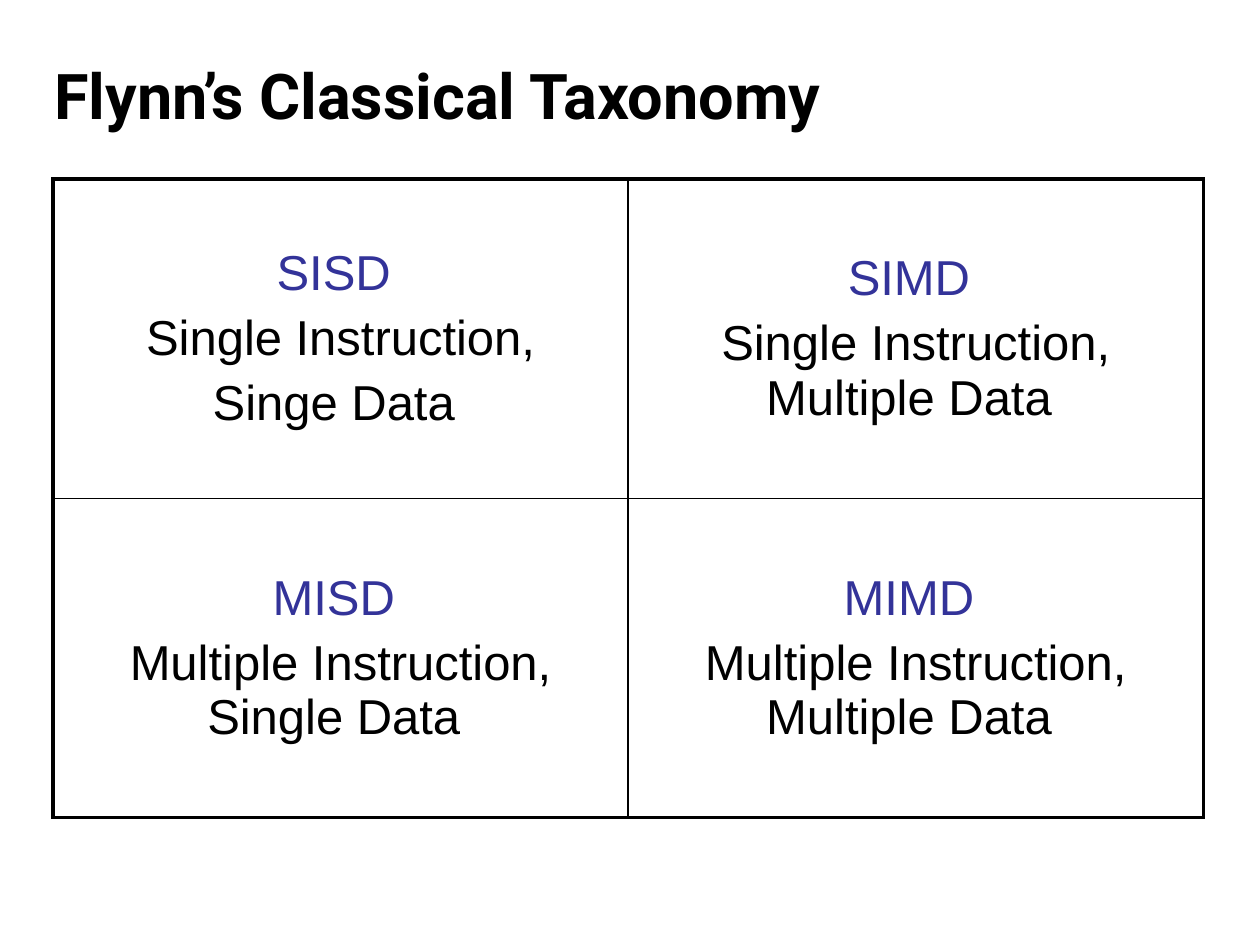
from lxml.etree import SubElement
from pptx import Presentation
from pptx.dml.color import RGBColor
from pptx.enum.text import MSO_ANCHOR as Anchor, PP_ALIGN as Align
from pptx.oxml.ns import qn
from pptx.util import Inches, Pt

BLACK = RGBColor(0x00, 0x00, 0x00)
INDIGO = RGBColor(0x33, 0x33, 0x99)
THICK, THIN = Pt(2.25), Pt(1)

# Rows of cells; each cell holds an acronym and the lines that spell it out
TAXONOMY = [
    [["SISD ", "Single Instruction,", "Singe Data "],
     ["SIMD ", "Single Instruction, Multiple Data "]],
    [["MISD ", "Multiple Instruction, Single Data "],
     ["MIMD ", "Multiple Instruction, Multiple Data "]],
]


def style_font(font, name, size, color, bold=False):
    font.name = name
    font.size = Pt(size)
    font.bold = bold
    font.color.rgb = color


def add_title(page, text, left, top, width, height):
    title = page.shapes.title
    title.left, title.top, title.width, title.height = left, top, width, height
    frame = title.text_frame
    frame.text = text
    frame.vertical_anchor = Anchor.MIDDLE
    para = frame.paragraphs[0]
    para.alignment = Align.LEFT
    style_font(para.font, "Roboto", 36, BLACK, bold=True)


def set_borders(cell, widths):
    properties = cell._tc.get_or_add_tcPr()
    for side, width in widths.items():
        line = SubElement(properties, qn(f"a:ln{side}"), w=str(width))
        fill = SubElement(line, qn("a:solidFill"))
        SubElement(fill, qn("a:srgbClr"), val=str(BLACK))


def fill_cell(cell, lines):
    cell.vertical_anchor = Anchor.MIDDLE
    cell.text = "\n".join(lines)
    for index, para in enumerate(cell.text_frame.paragraphs):
        para.alignment = Align.CENTER
        para.space_before = Pt(6)
        style_font(para.font, "Arial", 28, BLACK if index else INDIGO)


def add_taxonomy(page, left, top, width, height):
    rows, columns = len(TAXONOMY), len(TAXONOMY[0])
    table = page.shapes.add_table(rows, columns, left, top, width, height).table
    table.first_row = table.horz_banding = False
    for r, row in enumerate(TAXONOMY):
        for c, lines in enumerate(row):
            cell = table.cell(r, c)
            fill_cell(cell, lines)
            # Thick outer frame, thin inner rules
            set_borders(cell, {
                "L": THICK if c == 0 else THIN,
                "R": THICK if c == columns - 1 else THIN,
                "T": THICK if r == 0 else THIN,
                "B": THICK if r == rows - 1 else THIN,
            })
            cell.fill.background()


def main():
    deck = Presentation()
    deck.slide_width, deck.slide_height = Inches(10), Inches(7.5)
    page = deck.slides.add_slide(deck.slide_layouts[5])
    add_title(page, "Flynn’s Classical Taxonomy",
              Inches(0.33), Inches(0.33), Inches(9), Inches(0.83))
    add_taxonomy(page, Inches(0.42), Inches(1.42), Inches(9.13), Inches(5.07))
    deck.save("out.pptx")


if __name__ == "__main__":
    main()
